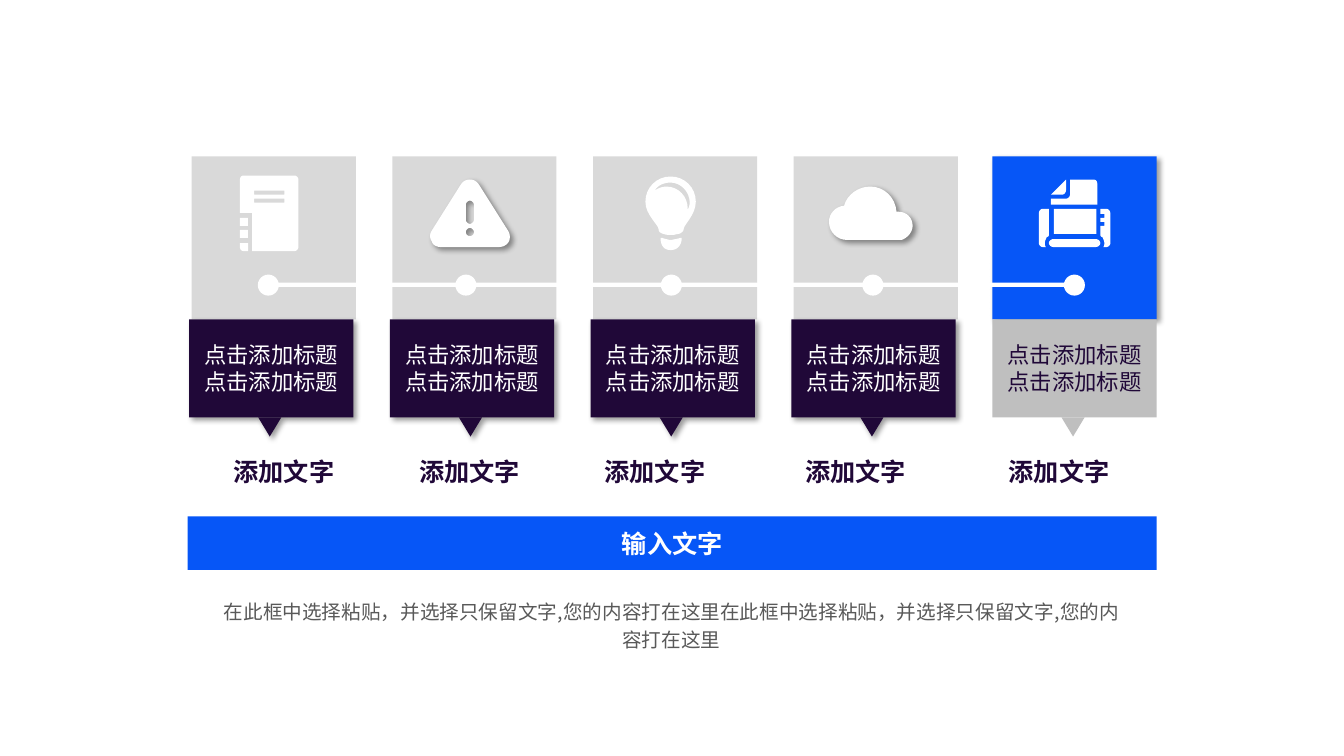
from lxml import etree
from pptx import Presentation
from pptx.dml.color import RGBColor
from pptx.enum.shapes import MSO_SHAPE
from pptx.enum.text import MSO_ANCHOR, MSO_AUTO_SIZE, PP_ALIGN
from pptx.oxml.ns import qn
from pptx.util import Cm, Pt

RECTANGLE = MSO_SHAPE.RECTANGLE
OVAL = MSO_SHAPE.OVAL
TRIANGLE = MSO_SHAPE.ISOSCELES_TRIANGLE
MIDDLE = MSO_ANCHOR.MIDDLE
TOP = MSO_ANCHOR.TOP
FIT_SHAPE = MSO_AUTO_SIZE.SHAPE_TO_FIT_TEXT
NO_FIT = MSO_AUTO_SIZE.NONE
CENTER = PP_ALIGN.CENTER

FONT = "Noto Sans CJK SC"
COLORS = {
    "white": "FFFFFF",
    "tile": "D9D9D9",
    "purple": "200838",
    "blue": "0656F7",
    "silver": "BFBFBF",
    "body": "595959",
    "shadow": "000000",
}
FORMATS = {
    "label": {"name": FONT, "size": Pt(16), "bold": False},
    "heading": {"name": FONT, "size": Pt(18), "bold": True},
    "body": {"name": FONT, "size": Pt(14), "bold": False},
}
TIGHT_FRAME = {
    "margin_left": Cm(0.2), "margin_right": Cm(0.2),
    "margin_top": Cm(0.1), "margin_bottom": Cm(0.1),
}

TILE_LEFTS = [4.83, 9.89, 14.95, 20.01, 25.02]
CAPTION_LEFTS = [5.66, 10.34, 15.01, 20.07, 25.2]
DOT_LEFTS = [6.5, 11.48, 16.66, 21.74, 26.82]
TILE_TOP, TILE_SIZE, LABEL_HEIGHT = 3.94, 4.14, 2.47
LABEL_TOP = 8.05
ICON_UNIT = 0.0254
CURVE_STEPS = 8

# Icon outlines are relative to the tile: pairs are corners, sextets are cubic curves.
NOTEBOOK = [
    [[(56, 94), (52, 94), (49, 94, 48, 92, 48, 90), (48, 86), (56, 86)]],
    [[(52, 19), (102, 19), (104, 19, 106, 21, 106, 23), (106, 90),
      (106, 92, 104, 94, 102, 94), (60, 94), (60, 56), (48, 56), (48, 23),
      (48, 21, 49, 19, 52, 19)],
     [(62, 46), (92, 46), (92, 42), (62, 42)],
     [(62, 38), (92, 38), (92, 34), (62, 34)]],
]
WARNING = [
    [[(68, 28), (70, 25, 73, 23, 77, 23), (81, 23, 84, 25, 86, 28), (115, 74),
      (117, 77, 117, 81, 116, 84), (114, 88, 110, 90, 106, 90), (48, 90),
      (44, 90, 40, 88, 39, 84), (37, 81, 37, 77, 39, 74)],
     [(77, 79), (79, 79, 81, 78, 81, 75), (81, 73, 79, 71, 77, 71),
      (75, 71, 73, 73, 73, 75), (73, 78, 75, 79, 77, 79)],
     [(73, 63), (73, 65, 75, 67, 77, 67), (79, 67, 81, 65, 81, 63), (81, 48),
      (81, 46, 79, 44, 77, 44), (75, 44, 73, 46, 73, 48)]],
]
BULB = [
    [[(69, 81), (71, 82, 73, 82, 76, 83), (78, 83), (81, 82, 84, 82, 86, 81),
      (88, 81), (88, 88, 84, 93, 77, 93), (70, 93, 67, 88, 67, 81)]],
    [[(77, 20), (91, 20, 102, 31, 102, 45), (102, 58, 90, 68, 90, 72),
      (90, 74, 88, 76, 85, 77), (83, 77, 81, 78, 79, 78), (77, 78),
      (75, 78, 73, 78, 70, 77), (66, 76, 65, 74, 65, 72),
      (65, 68, 52, 58, 52, 45), (52, 31, 63, 20, 77, 20)],
     [(73, 30), (85, 30, 94, 40, 94, 52), (94, 53), (95, 51, 96, 48, 96, 46),
      (96, 35, 87, 26, 77, 26), (70, 26, 64, 29, 61, 34), (64, 32, 68, 30, 73, 30)]],
]
CLOUD = [
    [[(50, 49), (53, 38, 64, 30, 76, 30), (90, 30, 101, 41, 102, 55), (104, 55),
      (112, 55, 118, 61, 118, 69), (118, 75, 113, 81, 107, 83), (53, 83),
      (43, 83, 35, 75, 35, 65), (35, 57, 41, 50, 50, 49)]],
]
PRINTER = [
    [[(50, 52), (56, 52), (56, 78), (56, 79, 55, 80, 54, 80),
      (53, 82, 52, 84, 52, 86), (52, 87, 52, 89, 53, 90), (50, 90),
      (48, 90, 46, 88, 46, 86), (46, 57), (46, 54, 48, 52, 50, 52)]],
    [[(61, 82), (102, 82), (105, 82, 107, 84, 107, 86), (107, 88, 105, 90, 102, 90),
      (61, 90), (58, 90, 56, 88, 56, 86), (56, 84, 58, 82, 61, 82)]],
    [[(107, 77), (107, 69), (111, 69), (111, 65), (107, 65), (107, 61), (111, 61),
      (111, 57), (107, 57), (107, 52), (113, 52), (115, 52, 117, 54, 117, 57),
      (117, 86), (117, 88, 115, 90, 113, 90), (110, 90), (111, 89, 111, 87, 111, 86),
      (111, 84, 110, 82, 109, 80), (108, 80, 107, 79, 107, 78)]],
    [[(69, 38), (58, 38), (73, 23), (73, 33), (73, 36, 71, 38, 69, 38)]],
    [[(58, 42), (73, 42), (75, 42, 77, 40, 77, 38), (77, 23), (100, 23),
      (103, 23, 104, 25, 104, 27), (104, 48), (58, 48)]],
]
ICONS = [
    (NOTEBOOK, [(48, 61, 8, 8), (48, 73, 8, 8)]),
    (WARNING, []),
    (BULB, []),
    (CLOUD, []),
    (PRINTER, [(61, 52, 42, 25)]),
]


def apply_format(target, values):
    """Set every attribute named in a dict of format values."""
    for name, value in values.items():
        setattr(target, name, value)


def style_shape(shape, color, shadow=False):
    """Give a shape a plain fill, no outline and an optional soft shadow."""
    shape.fill.solid()
    shape.fill.fore_color.rgb = RGBColor.from_string(COLORS[color])
    shape.line.fill.background()
    shape.shadow.inherit = False
    if shadow:
        effects = shape.element.spPr.find(qn("a:effectLst"))
        outer = etree.SubElement(effects, qn("a:outerShdw"), blurRad=str(Pt(4)),
                                 dist=str(Pt(3)), dir="2700000", rotWithShape="0")
        tint = etree.SubElement(outer, qn("a:srgbClr"), val=COLORS["shadow"])
        etree.SubElement(tint, qn("a:alpha"), val="40000")


def add_block(shapes, kind, box, color, shadow=False):
    """Add a filled preset shape at a box given in centimetres."""
    shape = shapes.add_shape(kind, *map(Cm, box))
    style_shape(shape, color, shadow)
    return shape


def write_text(shape, lines, style, color, frame_format, spacing=None):
    """Write centred paragraphs in one text style."""
    frame = shape.text_frame
    apply_format(frame, frame_format)
    frame.text = "\n".join(lines)
    for paragraph in frame.paragraphs:
        apply_format(paragraph, {"alignment": CENTER, "line_spacing": spacing})
        for run in paragraph.runs:
            apply_format(run.font, FORMATS[style])
            run.font.color.rgb = RGBColor.from_string(COLORS[color])
            etree.SubElement(run.font._element, qn("a:ea"), typeface=FONT)


def flatten(contour):
    """Turn corners and cubic curves into a list of points in EMU."""
    points = [contour[0]]
    for segment in contour[1:]:
        if len(segment) == 2:
            points.append(segment)
            continue
        controls = [points[-1], segment[:2], segment[2:4], segment[4:]]
        for step in range(1, CURVE_STEPS + 1):
            t = step / CURVE_STEPS
            weights = [(1 - t) ** 3, 3 * t * (1 - t) ** 2, 3 * t * t * (1 - t), t ** 3]
            points.append(tuple(sum(w * c[axis] for w, c in zip(weights, controls))
                                for axis in (0, 1)))
    return [(Cm(x * ICON_UNIT), Cm(y * ICON_UNIT)) for x, y in points]


def add_icon(slide, left, outlines, bars):
    """Draw a white icon on a tile, grouped when it has several parts."""
    single = len(outlines) == 1
    shapes = slide.shapes if single else slide.shapes.add_group_shape().shapes
    for contours in outlines:
        paths = [flatten(contour) for contour in contours]
        builder = shapes.build_freeform(*paths[0][0])
        builder.add_line_segments(paths[0][1:])
        for points in paths[1:]:
            builder.move_to(*points[0])
            builder.add_line_segments(points[1:])
        style_shape(builder.convert_to_shape(Cm(left), Cm(TILE_TOP)), "white", single)
    for x, y, width, height in bars:
        box = (left + x * ICON_UNIT, TILE_TOP + y * ICON_UNIT,
               width * ICON_UNIT, height * ICON_UNIT)
        add_block(shapes, RECTANGLE, box, "white")


def add_step(slide, left, caption_left, icon, active):
    """Add one column: tile, icon, label, pointer and caption."""
    label_left = left if active else left - 0.06
    label_color = "silver" if active else "purple"
    add_block(slide.shapes, RECTANGLE, (left, TILE_TOP, TILE_SIZE, TILE_SIZE - 0.03),
              "blue" if active else "tile", active)
    label = add_block(slide.shapes, RECTANGLE,
                      (label_left, LABEL_TOP, TILE_SIZE, LABEL_HEIGHT),
                      label_color, not active)
    write_text(label, ["点击添加标题"] * 2, "label", "purple" if active else "white",
               {**TIGHT_FRAME, "word_wrap": True, "vertical_anchor": MIDDLE})
    add_icon(slide, left, *icon)
    pointer = add_block(slide.shapes, TRIANGLE,
                        (label_left + 1.74, LABEL_TOP + LABEL_HEIGHT, 0.58, 0.48),
                        label_color, not active)
    pointer.rotation = 180
    caption = slide.shapes.add_textbox(*map(Cm, (caption_left, 11.4, 3, 0.99)))
    write_text(caption, ["添加文字"], "heading", "purple",
               {**TIGHT_FRAME, "word_wrap": False, "auto_size": FIT_SHAPE})


def add_rail(slide):
    """Add the white line with a dot on every tile."""
    shapes = slide.shapes.add_group_shape().shapes
    for left in DOT_LEFTS:
        add_block(shapes, OVAL, (left, 6.92, 0.53, 0.53), "white")
    add_block(shapes, RECTANGLE, (6.6, 7.12, 20.35, 0.11), "white")


def add_banner(slide):
    """Turn the title placeholder into the blue banner."""
    banner = slide.shapes.title
    apply_format(banner, {"left": Cm(4.73), "top": Cm(13.01),
                          "width": Cm(24.43), "height": Cm(1.35)})
    banner.fill.solid()
    banner.fill.fore_color.rgb = RGBColor.from_string(COLORS["blue"])
    write_text(banner, ["输入文字"], "heading", "white",
               {**TIGHT_FRAME, "word_wrap": True, "vertical_anchor": MIDDLE,
                "auto_size": NO_FIT})


def main():
    """Build the five-step slide and save it."""
    presentation = Presentation()
    apply_format(presentation, {"slide_width": Cm(33.88), "slide_height": Cm(19.05)})
    slide = presentation.slides.add_slide(presentation.slide_layouts[5])
    for index, (left, caption_left, icon) in enumerate(zip(TILE_LEFTS, CAPTION_LEFTS, ICONS)):
        add_step(slide, left, caption_left, icon, index == len(ICONS) - 1)
    add_rail(slide)
    add_banner(slide)
    summary = slide.shapes.add_textbox(*map(Cm, (5.33, 14.88, 23.19, 2.36)))
    sentence = "在此框中选择粘贴，并选择只保留文字,您的内容打在这里"
    write_text(summary, [sentence * 2], "body", "body",
               {"word_wrap": True, "vertical_anchor": TOP, "auto_size": FIT_SHAPE}, 1.2)
    presentation.save("out.pptx")


if __name__ == "__main__":
    main()
